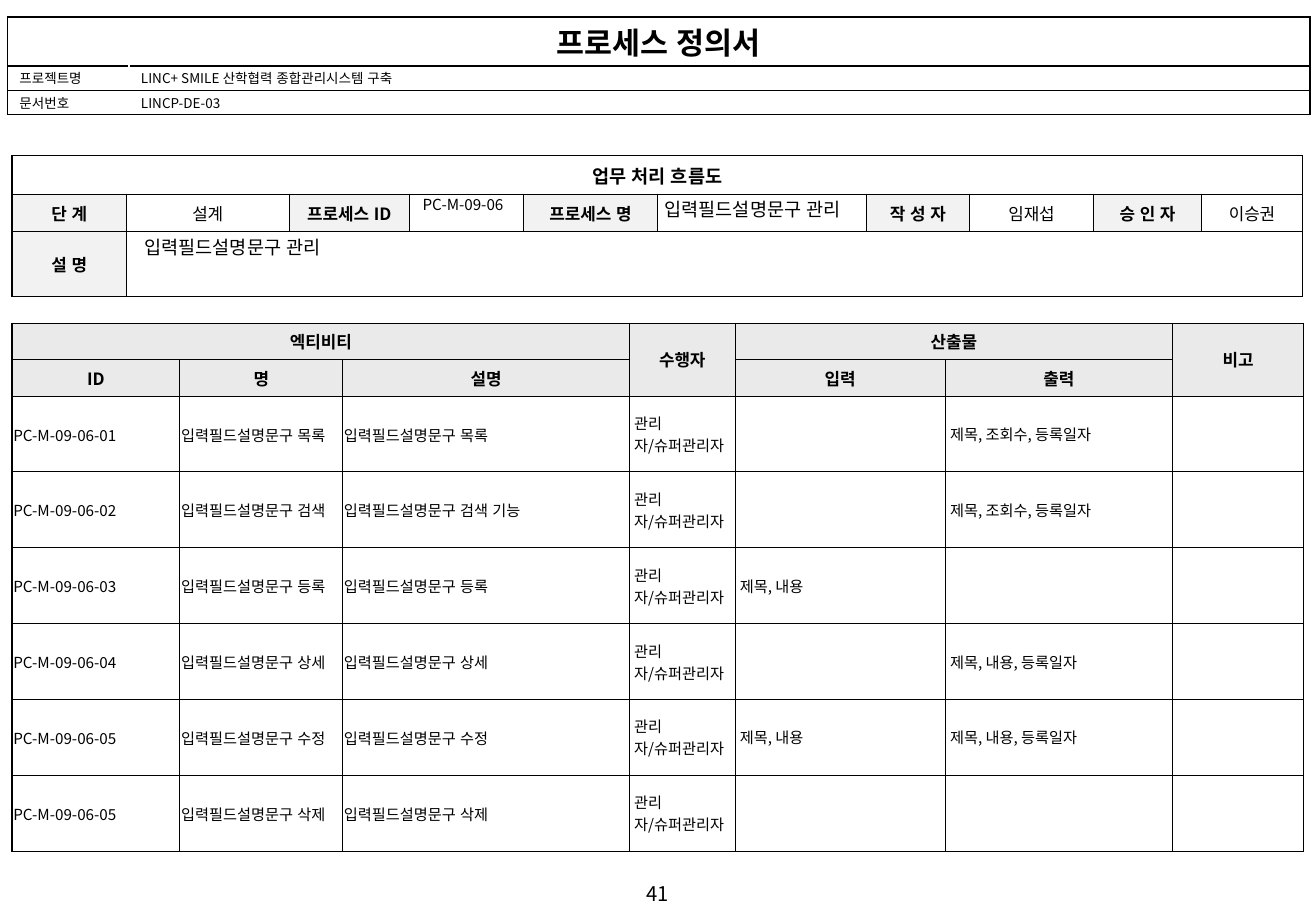
from lxml import etree
from pptx import Presentation
from pptx import util as u
from pptx.dml import color
from pptx.enum import lang, text
from pptx.oxml import ns

# Content
HEAD = [
    ["프로세스 정의서", ""],
    ["프로젝트명", "LINC+ SMILE 산학협력 종합관리시스템 구축"],
    ["문서번호", "LINCP-DE-03"],
]
FLOW = [
    ["업무 처리 흐름도"] + [""] * 9,
    ["단 계", "설계", "프로세스 ID", "", "프로세스 명", "",
     "작 성 자", "임재섭", "승 인 자", "이승권"],
    ["설 명"] + [""] * 9,
]
FIELD = "입력필드설명문구"
ACTOR = "관리자/슈퍼관리자"
LIST = "제목, 조회수, 등록일자"
BODY = "제목, 내용"
FULL = "제목, 내용, 등록일자"
# ID number, name, description, input, output
STEPS = [
    ("01", "목록", "목록", "", LIST),
    ("02", "검색", "검색 기능", "", LIST),
    ("03", "등록", "등록", BODY, ""),
    ("04", "상세", "상세", "", FULL),
    ("05", "수정", "수정", BODY, FULL),
    ("05", "삭제", "삭제", "", ""),
]
ACTS = [
    ["엑티비티", "", "", "수행자", "산출물", "", "비고"],
    ["ID", "명", "설명", "", "입력", "출력", ""],
] + [[f"PC-M-09-06-{num}", f"{FIELD} {name}", f"{FIELD} {desc}",
      ACTOR, put, out, ""] for num, name, desc, put, out in STEPS]
# Text, box, size, centred
NOTES = [
    ("PC-M-09-06", (3.38, 1.56, 0.93, 0.25), 9, False),
    (f"{FIELD} 관리", (1.09, 1.89, 9.53, 0.29), 11, False),
    (f"{FIELD} 관리", (5.37, 1.58, 1.9, 0.29), 11, False),
    ("41", (0, 7.21, 10.83, 0.3), 12, True),
]

FONT = "Noto Sans CJK KR"
HEX = {"ink": "000000", "paper": "FFFFFF", "label": "F2F2F2", "top": "EAEAEA"}
WIDE = (0.1, 0.05, 0.1, 0.05)

deck = Presentation()
deck.slide_width, deck.slide_height = u.Inches(10.83), u.Inches(7.5)
slide = deck.slides.add_slide(deck.slide_layouts[6])


def write(frame, words, size=9, bold=False, mid=False):
    para = frame.paragraphs[0]
    para.alignment = text.PP_ALIGN.CENTER if mid else text.PP_ALIGN.LEFT
    if not words:
        # Keeps an empty cell from growing its row
        para._p.get_or_add_endParaRPr().set("sz", str(size * 100))
        return
    run = para.add_run()
    run.text = words
    font = run.font
    font.size, font.bold, font.name = u.Pt(size), bold, FONT
    font.color.rgb = color.RGBColor.from_string(HEX["ink"])
    font.language_id = lang.MSO_LANGUAGE_ID.KOREAN
    etree.SubElement(font._element, ns.qn("a:ea"), typeface=FONT)


def inset(box, sides):
    (box.margin_left, box.margin_top,
     box.margin_right, box.margin_bottom) = map(u.Inches, sides)


def border(cell, side, tint, width):
    line = etree.SubElement(cell._tc.get_or_add_tcPr(), ns.qn(f"a:ln{side}"),
                            w=str(u.Pt(width)))
    fill = etree.SubElement(line, ns.qn("a:solidFill"))
    etree.SubElement(fill, ns.qn("a:srgbClr"), val=HEX[tint])


def grid(spot, cols, rows, data, spans, look, edge):
    """look(r, c) gives fill, insets, anchor and text format;
    edge(side, r, c) gives line colour and width."""
    left, top = spot
    table = slide.shapes.add_table(
        len(rows), len(cols), u.Inches(left), u.Inches(top),
        u.Inches(sum(cols)), u.Inches(sum(rows))).table
    table.first_row = table.horz_banding = False
    for col, wide in zip(table.columns, cols):
        col.width = u.Inches(wide)
    for row, high in zip(table.rows, rows):
        row.height = u.Inches(high)
    ends = {(r, c): (r + down - 1, c + over - 1)
            for r, c, down, over in spans}
    for r, line in enumerate(data):
        for c, words in enumerate(line):
            cell = table.cell(r, c)
            fill, sides, anchor, form = look(r, c)
            inset(cell, sides)
            cell.vertical_anchor = anchor
            last = ends.get((r, c), (r, c))
            for side in "LRTB":
                border(cell, side, *edge(side, *(last if side in "RB" else (r, c))))
            if fill:
                cell.fill.solid()
                cell.fill.fore_color.rgb = color.RGBColor.from_string(HEX[fill])
            else:
                cell.fill.background()
            write(cell.text_frame, words, **form)
    for (r, c), last in ends.items():
        table.cell(r, c).merge(table.cell(*last))


TOP, MID = text.MSO_ANCHOR.TOP, text.MSO_ANCHOR.MIDDLE


# Document header
def head_look(r, c):
    form = {"size": 8} if r else {"size": 18 if c == 0 else 8,
                                  "bold": True, "mid": True}
    return "paper", (0.1, 0.02, 0.1, 0.02), TOP, form


def head_edge(side, r, c):
    inner = r > 0 and (side, c) in (("R", 0), ("L", 1))
    return ("paper" if inner else "ink"), 1


grid((0.06, 0.14), [1, 9.72], [0.39, 0.17, 0.17], HEAD,
     [(0, 0, 1, 2)], head_look, head_edge)


# Process summary
def flow_look(r, c):
    label = (r == 1 and c % 2 == 0) or (r == 2 and c == 0)
    size = 11 if (r, c) == (0, 0) else 10 if FLOW[r][c] else 8
    return ("label" if label else "paper"), WIDE, MID, {
        "size": size, "bold": label or r == 0, "mid": True}


def flow_edge(side, r, c):
    outer = (side, c) in (("L", 0), ("R", 9)) or (side, r) in (("T", 0), ("B", 2))
    return "ink", 1 if outer else 0.75


grid((0.1, 1.28),
     [0.94, 1.34, 0.99, 0.94, 1.1, 1.72, 0.85, 1.02, 0.89, 0.83],
     [0.28, 0.27, 0.54], FLOW, [(0, 0, 1, 10), (2, 1, 1, 9)],
     flow_look, flow_edge)


# Activity list
def act_look(r, c):
    if r < 2:
        return "top", WIDE, MID, {"size": 10 if ACTS[r][c] else 8,
                                  "bold": True, "mid": True}
    sides = (0.01, 0.01, 0.01, 0) if c < 3 else (0.04,) * 4
    return None, sides, MID, {"size": 9}


def act_edge(side, r, c):
    return "ink", 1 if (side, c) == ("L", 0) else 0.75


grid((0.1, 2.66), [1.38, 1.34, 2.36, 0.87, 1.73, 1.87, 1.08],
     [0.27] * 2 + [0.25] * len(STEPS), ACTS,
     [(0, 0, 1, 3), (0, 3, 2, 1), (0, 4, 1, 2), (0, 6, 2, 1)],
     act_look, act_edge)

# Loose text and page number
for words, spot, size, mid in NOTES:
    frame = slide.shapes.add_textbox(*map(u.Inches, spot)).text_frame
    frame.word_wrap = True
    inset(frame, WIDE)
    write(frame, words, size=size, mid=mid)

deck.save("out.pptx")
